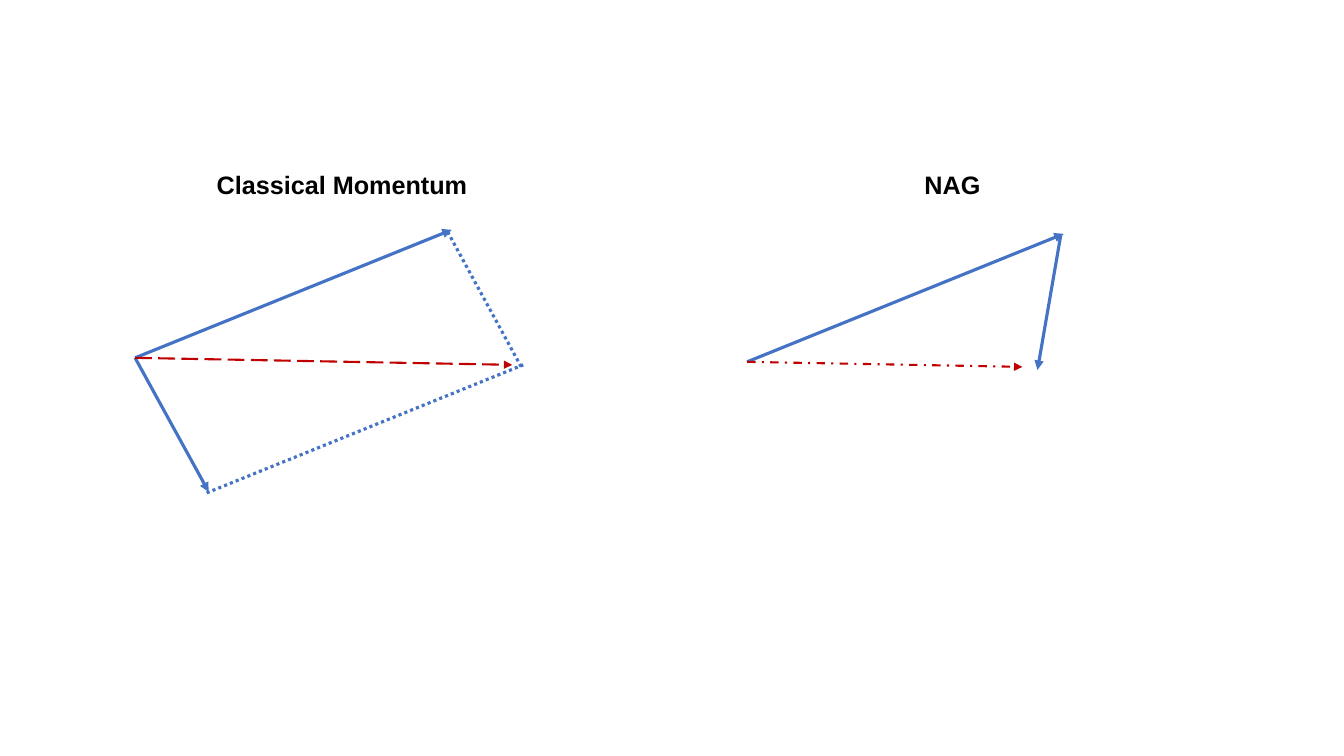
from pptx import Presentation
from pptx.dml.color import RGBColor
from pptx.enum.dml import MSO_LINE
from pptx.enum.shapes import MSO_CONNECTOR
from pptx.enum.text import MSO_AUTO_SIZE
from pptx.oxml.ns import qn
from pptx.util import Inches, Pt
from lxml import etree

BLUE = RGBColor(0x44, 0x72, 0xC4)
RED = RGBColor(0xC0, 0x00, 0x00)
BLACK = RGBColor(0x00, 0x00, 0x00)

presentation = Presentation()
presentation.slide_width = Inches(13.33)
presentation.slide_height = Inches(7.5)
slide = presentation.slides.add_slide(presentation.slide_layouts[6])

STYLES = {
    "vector": {"color": BLUE, "width": 2.25, "dash": None, "arrow": True},
    "parallel": {"color": BLUE, "width": 2.25, "dash": MSO_LINE.ROUND_DOT, "arrow": False},
    "momentum sum": {"color": RED, "width": 1.5, "dash": MSO_LINE.LONG_DASH, "arrow": True},
    "nag sum": {"color": RED, "width": 1.5, "dash": MSO_LINE.DASH_DOT, "arrow": True},
}

momentum_origin = (1.34, 3.55)
nag_origin = (7.41, 3.59)
lines = [
    ("vector", momentum_origin, (4.48, 2.28)),
    ("parallel", (2.05, 4.89), (5.19, 3.62)),
    ("vector", momentum_origin, (2.07, 4.88)),
    ("parallel", (4.44, 2.3), (5.17, 3.64)),
    ("momentum sum", momentum_origin, (5.08, 3.62)),
    ("vector", nag_origin, (10.55, 2.32)),
    ("vector", (10.52, 2.34), (10.29, 3.67)),
    ("nag sum", nag_origin, (10.14, 3.64)),
]

for style_name, start, end in lines:
    style = STYLES[style_name]
    points = [Inches(value) for value in start + end]
    connector = slide.shapes.add_connector(MSO_CONNECTOR.STRAIGHT, *points)
    connector.line.color.rgb = style["color"]
    connector.line.width = Pt(style["width"])
    connector.line.dash_style = style["dash"]
    properties = connector.line._get_or_add_ln().getparent()
    if style["arrow"]:
        etree.SubElement(properties.find(qn("a:ln")), qn("a:tailEnd"), type="triangle")
    etree.SubElement(properties, qn("a:effectLst"))

title_format = {"name": "Arial", "size": Pt(18), "bold": True}
for title, left, width in [("Classical Momentum", 2.05, 4.55), ("NAG", 9.07, 4.26)]:
    text_box = slide.shapes.add_textbox(Inches(left), Inches(1.63), Inches(width), Inches(0.4))
    text_frame = text_box.text_frame
    text_frame.word_wrap = True
    text_frame.auto_size = MSO_AUTO_SIZE.SHAPE_TO_FIT_TEXT
    run = text_frame.paragraphs[0].add_run()
    run.text = title
    for attribute, value in title_format.items():
        setattr(run.font, attribute, value)
    run.font.color.rgb = BLACK

presentation.save("out.pptx")
